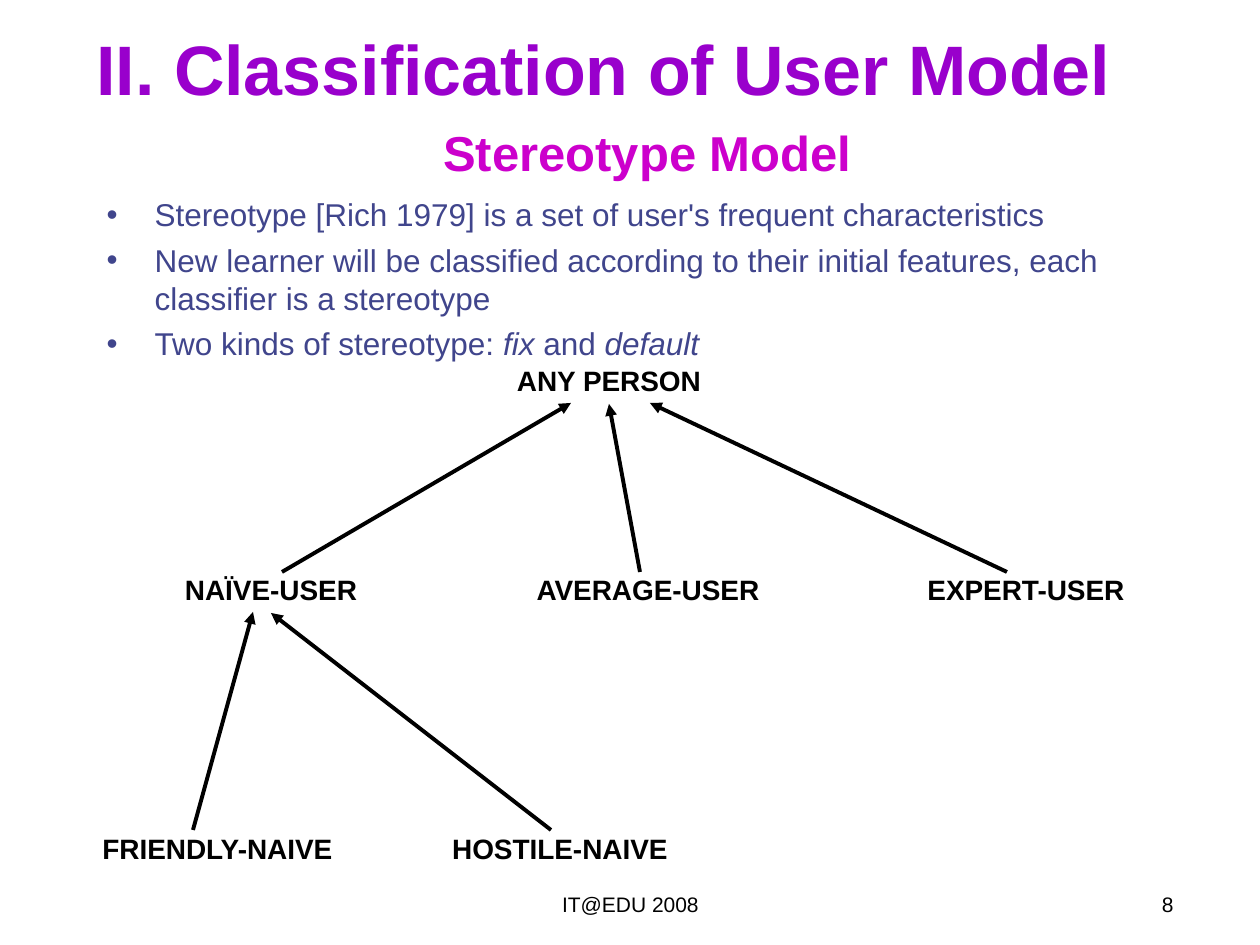
"""Build the slide on the stereotype user model with its tree of user classes."""
from lxml import etree
from pptx import Presentation
from pptx.dml.color import RGBColor
from pptx.enum.shapes import MSO_CONNECTOR
from pptx.enum.text import MSO_ANCHOR, MSO_AUTO_SIZE, PP_ALIGN
from pptx.oxml.ns import qn
from pptx.util import Emu, Pt

LEFT, CENTER, RIGHT = PP_ALIGN.LEFT, PP_ALIGN.CENTER, PP_ALIGN.RIGHT
MIDDLE, TOP = MSO_ANCHOR.MIDDLE, MSO_ANCHOR.TOP
NO_FIT = MSO_AUTO_SIZE.NONE
STRAIGHT = MSO_CONNECTOR.STRAIGHT
PURPLE = RGBColor(0x99, 0x00, 0xCC)
MAGENTA = RGBColor(0xCC, 0x00, 0xCC)
INDIGO = RGBColor(0x40, 0x45, 0x8C)
BLACK = RGBColor(0, 0, 0)
FONT = "Arial"
EMU_PER_PX = 914400 // 126
BOTTOM_SITE = 2

TITLE = "II. Classification of User Model"
BULLETS = [
    [("Stereotype [Rich 1979] is a set of user's frequent characteristics", False)],
    [("New learner will be classified according to their initial features, "
      "each classifier is a stereotype", False)],
    [("Two kinds of stereotype: ", False), ("fix", True),
     (" and ", False), ("default", True)],
]
CAPTIONS = [
    ("Stereotype Model", (431, 116, 451, 72), 28, MAGENTA, True, LEFT),
    ("IT@EDU 2008", (431, 885, 399, 66), 12, BLACK, False, CENTER),
    ("8", (892, 885, 294, 66), 12, BLACK, False, RIGHT),
]
LABEL_HEIGHT = 47
LABELS = [
    ("ANY PERSON", 481, 357, 256),
    ("NAÏVE-USER", 143, 566, 256),
    ("AVERAGE-USER", 520, 566, 256),
    ("EXPERT-USER", 898, 566, 256),
    ("FRIENDLY-NAIVE", 74, 825, 287),
    ("HOSTILE-NAIVE", 432, 825, 256),
]
ARROWS = [
    ((282, 572), (571, 403), None),
    ((640, 572), (610, 403), "ANY PERSON"),
    ((1007, 572), (650, 403), None),
    ((193, 830), (253, 612), None),
    ((551, 830), (272, 612), "NAÏVE-USER"),
]


def px(*lengths):
    return [Emu(length * EMU_PER_PX) for length in lengths]


def place(shape, bounds):
    shape.left, shape.top, shape.width, shape.height = px(*bounds)


def style(para, size, color, bold, align):
    para.alignment = align
    font = para.font
    font.name, font.size, font.bold = FONT, Pt(size), bold
    font.color.rgb = color


def add_text(page, text, bounds, size, color, bold, align):
    box = page.shapes.add_textbox(*px(*bounds))
    frame = box.text_frame
    frame.word_wrap = True
    frame.text = text
    style(frame.paragraphs[0], size, color, bold, align)
    return box


def fill_title(title):
    place(title, (84, 10, 1124, 116))
    frame = title.text_frame
    frame.text = TITLE
    frame.vertical_anchor, frame.auto_size = MIDDLE, NO_FIT
    style(frame.paragraphs[0], 40, PURPLE, True, LEFT)


def fill_body(body):
    place(body, (94, 189, 1098, 189))
    frame = body.text_frame
    frame.vertical_anchor, frame.auto_size = TOP, NO_FIT
    for index, spans in enumerate(BULLETS):
        para = frame.add_paragraph() if index else frame.paragraphs[0]
        para.space_before = Pt(4.5 if index else 0)
        indent = px(48)[0]
        properties = para._p.get_or_add_pPr()
        properties.set("marL", str(indent))
        properties.set("indent", str(-indent))
        bullet_color = etree.SubElement(properties, qn("a:buClr"))
        etree.SubElement(bullet_color, qn("a:srgbClr"), val=str(INDIGO))
        etree.SubElement(properties, qn("a:buChar"), char="•")
        style(para, 18, INDIGO, False, LEFT)
        for text, italic in spans:
            span = para.add_run()
            span.text = text
            if italic:
                span.font.italic = True


def add_arrow(page, start, end, target):
    arrow = page.shapes.add_connector(STRAIGHT, *px(*start, *end))
    if target:
        arrow.end_connect(target, BOTTOM_SITE)
    arrow.line.color.rgb = BLACK
    arrow.line.width = Pt(2.25)
    etree.SubElement(arrow.line._get_or_add_ln(), qn("a:tailEnd"), type="triangle")
    etree.SubElement(arrow._element.spPr, qn("a:effectLst"))


def main():
    deck = Presentation()
    deck.slide_width, deck.slide_height = px(1260, 945)
    page = deck.slides.add_slide(deck.slide_layouts[1])
    fill_title(page.shapes.title)
    fill_body(page.placeholders[1])
    for caption in CAPTIONS:
        add_text(page, *caption)
    boxes = {
        text: add_text(page, text, (left, top, width, LABEL_HEIGHT),
                       16, BLACK, True, CENTER)
        for text, left, top, width in LABELS
    }
    for start, end, target in ARROWS:
        add_arrow(page, start, end, boxes.get(target))
    deck.save("out.pptx")


if __name__ == "__main__":
    main()
